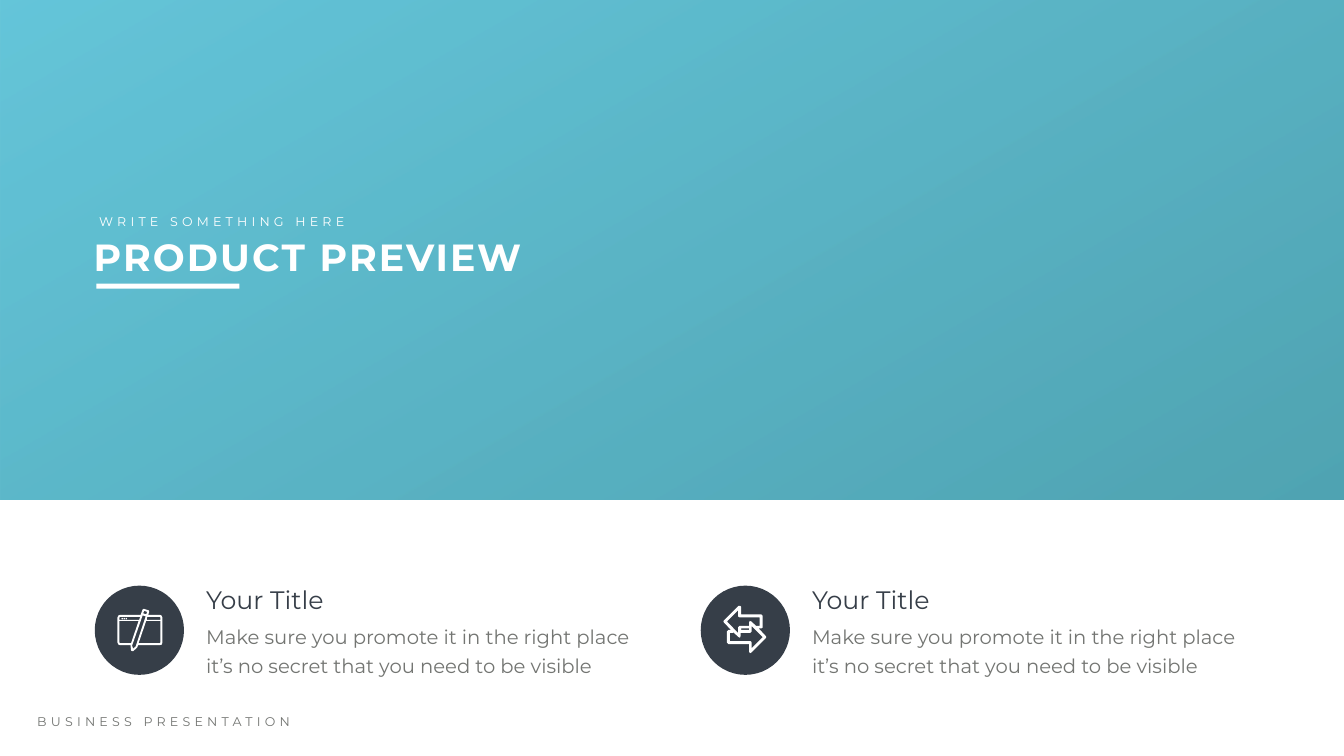
from dataclasses import dataclass

from lxml import etree
from pptx import Presentation, util as u
from pptx.dml.color import RGBColor
from pptx.enum import shapes as kinds, text as modes
from pptx.oxml.ns import qn

WHITE = RGBColor(0xFF, 0xFF, 0xFF)
DARK = RGBColor(0x36, 0x3E, 0x48)
GRAY = RGBColor(0x73, 0x75, 0x72)
AQUA = RGBColor(0x40, 0xB8, 0xD1)
TEAL = RGBColor(0x26, 0x8E, 0xA0)
FACE = "Montserrat"
RECT = kinds.MSO_SHAPE.RECTANGLE
OVAL = kinds.MSO_SHAPE.OVAL
UNIT = u.Inches(0.01)

Outline = list[tuple[int, int]]

WINDOW: list[Outline] = [
    [(84, 12), (61, 12), (63, 6), (62, 3), (52, 0), (50, 1), (46, 12), (5, 12),
     (2, 13), (0, 17), (0, 67), (2, 71), (5, 72), (26, 72), (26, 73), (27, 83),
     (29, 84), (31, 84), (38, 78), (39, 77), (41, 72), (84, 72), (88, 71),
     (89, 67), (89, 17), (87, 13)],
    [(84, 68), (42, 68), (57, 24), (85, 24), (85, 67)],
    [(31, 79), (29, 73), (50, 13), (56, 15), (36, 75)],
    [(5, 68), (4, 67), (4, 24), (42, 24), (27, 68)],
    [(5, 16), (45, 16), (43, 22), (4, 22), (4, 17)],
    [(53, 4), (59, 6), (57, 11), (51, 9)],
    [(85, 17), (85, 22), (58, 22), (59, 16), (84, 16)],
]
ARROWS: list[Outline] = [
    [(84, 60), (70, 45), (75, 45), (78, 43), (78, 20), (75, 17), (35, 17),
     (35, 2), (33, 0), (30, 0), (1, 29), (0, 31), (1, 33), (15, 48), (10, 48),
     (7, 51), (7, 73), (10, 76), (51, 76), (51, 91), (52, 93), (53, 94),
     (55, 93), (84, 64), (85, 62)],
    [(56, 84), (56, 73), (55, 71), (53, 70), (13, 70), (13, 54), (18, 54),
     (20, 53), (30, 62), (32, 63), (33, 63), (34, 60), (34, 54), (53, 54),
     (56, 51), (56, 40), (78, 62)],
    [(51, 45), (51, 48), (35, 48), (35, 45)],
    [(29, 9), (29, 20), (30, 22), (32, 23), (72, 23), (72, 40), (65, 40),
     (55, 31), (52, 30), (51, 33), (51, 40), (32, 40), (29, 43), (29, 54),
     (7, 31)],
]


@dataclass
class Box:
    left: float
    top: float
    width: float
    height: float

    def lengths(self) -> list[u.Length]:
        return [u.Inches(n) for n in (self.left, self.top, self.width, self.height)]


@dataclass
class Style:
    size: float
    color: RGBColor
    bold: bool = False
    space: int = 0
    lead: float | None = None


@dataclass
class Feature:
    left: float
    icon: list[Outline]
    top: float
    dots: int = 0


HEAD = Style(54, WHITE, bold=True, space=3)
KICKER = Style(18, WHITE, space=6)
FOOTER = Style(18, GRAY, space=6)
TITLE = Style(36, DARK)
BODY = Style(28, GRAY, lead=40.8)

FEATURES = [Feature(1.88, WINDOW, 12.08, dots=3), Feature(13.9, ARROWS, 12.02)]


def paint(shape, color: RGBColor) -> None:
    shape.shadow.inherit = False
    shape.fill.solid()
    shape.fill.fore_color.rgb = color
    shape.line.fill.background()


def add_form(slide, kind, box: Box, color: RGBColor):
    shape = slide.shapes.add_shape(kind, *box.lengths())
    paint(shape, color)
    return shape


def add_banner(slide) -> None:
    banner = add_form(slide, RECT, Box(0, 0, 26.66, 9.92), AQUA)
    banner.fill.gradient()
    banner.fill.gradient_angle = 300
    for stop, color, place in zip(banner.fill.gradient_stops, (AQUA, TEAL), (0, 0.98)):
        stop.color.rgb = color
        stop.position = place
    for tint in banner._element.spPr.iter(qn("a:srgbClr")):
        etree.SubElement(tint, qn("a:alpha")).set("val", "80000")


def add_icon(slide, left: float, top: float, lines: list[Outline]) -> None:
    pen = slide.shapes.build_freeform(*lines[0][0], scale=UNIT)
    for line in lines:
        pen.move_to(*line[0])
        pen.add_line_segments(line[1:], close=True)
    paint(pen.convert_to_shape(u.Inches(left), u.Inches(top)), WHITE)


def add_text(slide, box: Box, words: str, style: Style) -> None:
    frame = slide.shapes.add_textbox(*box.lengths()).text_frame
    frame.word_wrap = True
    frame.auto_size = modes.MSO_AUTO_SIZE.SHAPE_TO_FIT_TEXT
    para = frame.paragraphs[0]
    para.text = words
    if style.lead:
        para.line_spacing = u.Pt(style.lead)
    font = para.font
    font.name = FACE
    font.size = u.Pt(style.size)
    font.bold = style.bold
    font.color.rgb = style.color
    if style.space:
        para._p.pPr.find(qn("a:defRPr")).set("spc", str(style.space * 100))


def add_feature(slide, item: Feature) -> None:
    add_form(slide, OVAL, Box(item.left, 11.62, 1.77, 1.77), DARK)
    inner = item.left + 0.45
    add_icon(slide, inner, item.top, item.icon)
    for step in range(item.dots):
        dot = Box(inner + 0.08 + 0.04 * step, item.top + 0.18, 0.03, 0.03)
        add_form(slide, OVAL, dot, WHITE)
    left = item.left + 2.11
    add_text(slide, Box(left, 12.25, 8.77, 1.2),
             "Make sure you promote it in the right place "
             "it’s no secret that you need to be visible", BODY)
    add_text(slide, Box(left, 11.55, 4.81, 0.71), "Your Title", TITLE)


def main() -> None:
    deck = Presentation()
    deck.slide_width = u.Inches(26.66)
    deck.slide_height = u.Inches(15)
    slide = deck.slides.add_slide(deck.slide_layouts[6])
    add_banner(slide)
    for item in FEATURES:
        add_feature(slide, item)
    add_text(slide, Box(1.76, 4.59, 9.34, 1.01), "PRODUCT PREVIEW", HEAD)
    add_text(slide, Box(1.87, 4.19, 5.18, 0.4), "WRITE SOMETHING HERE", KICKER)
    add_form(slide, RECT, Box(1.91, 5.63, 2.84, 0.1), WHITE)
    add_text(slide, Box(0.64, 14.12, 6.05, 0.4), "BUSINESS PRESENTATION", FOOTER)
    deck.save("out.pptx")


if __name__ == "__main__":
    main()
